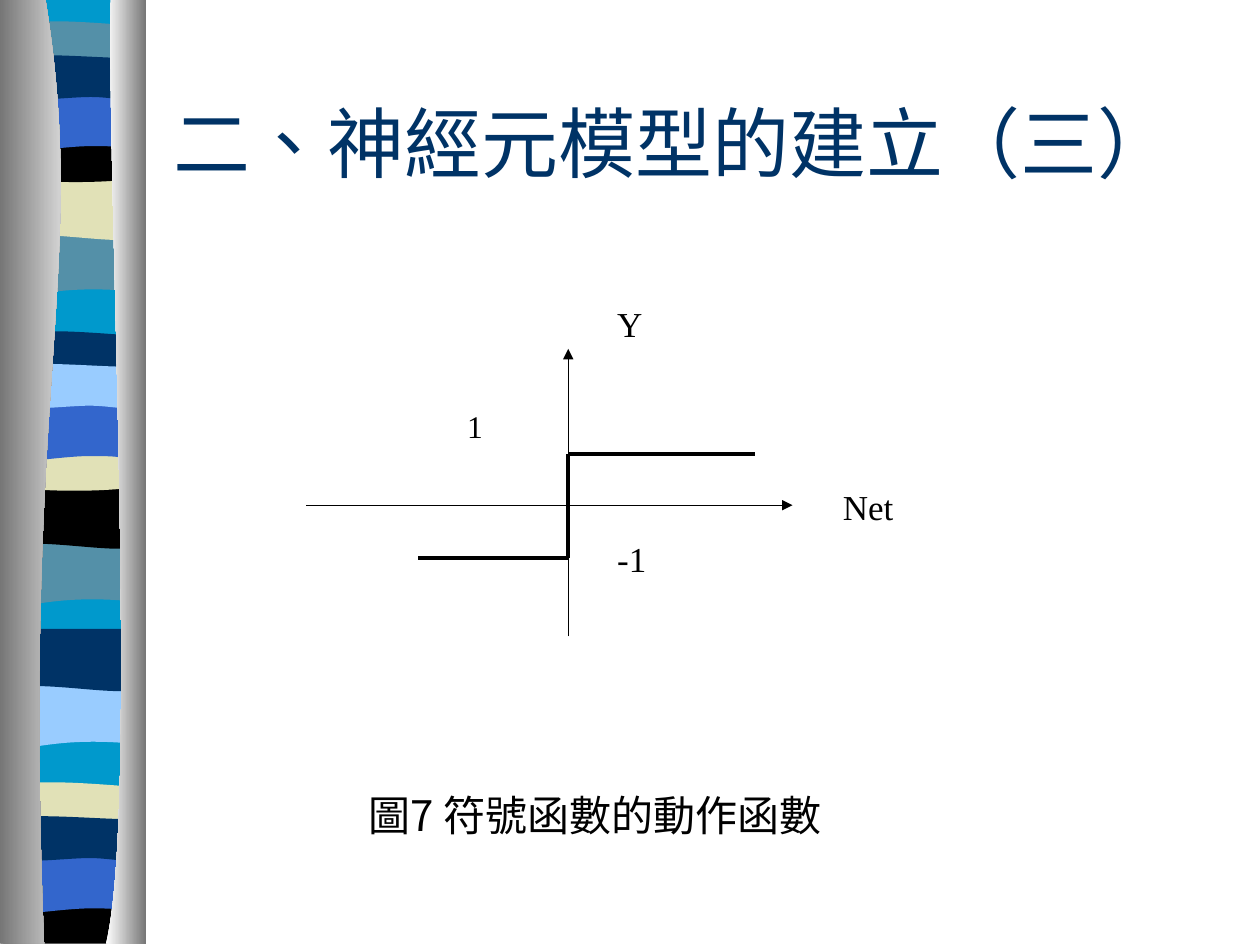
from pptx import Presentation
from pptx.dml.color import RGBColor as RGB
from pptx.enum.lang import MSO_LANGUAGE_ID as LANGUAGE
from pptx.enum.shapes import MSO_CONNECTOR as LINK, MSO_SHAPE as SHAPE
from pptx.enum.text import MSO_ANCHOR as ANCHOR, MSO_AUTO_SIZE as FIT, PP_ALIGN as ALIGN
from pptx.oxml.ns import qn
from pptx.util import Inches, Pt
from lxml.etree import SubElement

# Content
TITLE = "二、神經元模型的建立（三）"
CAPTION = "圖7 符號函數的動作函數 "
LABELS = [  # text, size name, left, top, width, height
    ("Net", "label", 6.59, 3.8, 1.19, 0.62),
    ("Y", "label", 4.8, 2.35, 1.19, 0.83),
    ("1", "small", 3.61, 3.18, 0.59, 0.62),
    ("-1", "label", 4.8, 4.22, 1.19, 0.62),
]
ORIGIN_X, ORIGIN_Y, HIGH, LOW = 4.51, 4.01, 3.6, 4.43
AXES = [  # start, end, line width
    ((2.43, ORIGIN_Y), (6.29, ORIGIN_Y), 0.75),
    ((ORIGIN_X, 5.05), (ORIGIN_X, 2.77), 0.5),
]
STEP = [  # start, end
    ((3.32, LOW), (ORIGIN_X, LOW)),
    ((ORIGIN_X, HIGH), (5.99, HIGH)),
    ((ORIGIN_X, HIGH), (ORIGIN_X, LOW)),
]

THEME = {
    "latin": "Times New Roman", "cjk": "Noto Sans CJK SC",
    "title": 44, "caption": 24, "label": 20, "small": 18, "step": 2.25,
    "cyan": "0099CC", "teal": "5490A8", "navy": "003366", "blue": "3366CC",
    "black": "000000", "cream": "E1E1B7", "sky": "99CCFF", "white": "FFFFFF",
    "shade": "767676",
}

# Band outlines from the top left: two numbers draw a line, six a Bezier curve
OUTLINES = {
    "base": [(1.08, 0), (1.08, 7.48), (0, 7.48), (0, 0)],
    "sway": [(1.08, 0), (1.08, 0.47), (0.33, 0.39, 0.18, 0.55, 0, 0.47), (0, 0)],
    "dip": [(1.08, 0), (1.08, 0.47), (0.9, 0.55, 0.33, 0.41, 0, 0.47), (0, 0)],
    "thin": [(1.08, 0.05), (1.08, 0.29), (0.9, 0.33, 0.18, 0.33, 0, 0.29), (0, 0.05),
             (0.06, 0, 0.23, 0.01, 0.41, 0.01), (0.59, 0.01, 0.94, 0.04, 1.08, 0.05)],
    "bowl": [(1.08, 0), (1.08, 0.32), (0.9, 0.38, 0.18, 0.38, 0, 0.32), (0, 0),
             (0.66, 0.05, 0.85, 0, 1.08, 0)],
    "foot": [(1.08, 0), (1.08, 0.37), (0, 0.37), (0, 0), (0.66, 0.05, 0.85, 0, 1.08, 0)],
    "arch": [(1.08, 0), (1.08, 0.47), (0.91, 0.42, 0.84, 0.42, 0.66, 0.42),
             (0.48, 0.42, 0.16, 0.47, 0, 0.47), (0, 0)],
    "flag": [(1.08, 0.05), (1.08, 0.36), (1.01, 0.41, 0.84, 0.36, 0.66, 0.36),
             (0.48, 0.36, 0.11, 0.41, 0, 0.36), (0, 0.05),
             (0.15, 0, 0.73, 0.05, 0.91, 0.05), (1.09, 0.05, 1.04, 0.05, 1.08, 0.05)],
}
BANDS = [  # outline, colour, left, top
    ("base", "cyan", 0.06, -0.01),
    ("sway", "teal", 0.06, 1.85), ("dip", "cream", 0.06, 1.41),
    ("thin", "teal", 0.06, 0.16), ("bowl", "black", 0.06, 1.08),
    ("arch", "blue", 0.06, 0.74), ("flag", "navy", 0.06, 0.41),
    ("sway", "teal", 0.05, 4.31), ("dip", "black", 0.05, 3.86),
    ("thin", "navy", 0.05, 2.62), ("bowl", "cream", 0.05, 3.53),
    ("arch", "blue", 0.05, 3.2), ("flag", "sky", 0.05, 2.86),
    ("sway", "sky", 0.06, 5.44), ("dip", "navy", 0.06, 4.99),
    ("thin", "cream", 0.05, 6.2), ("foot", "black", 0.05, 7.12),
    ("arch", "blue", 0.05, 6.79), ("flag", "navy", 0.05, 6.45),
]
DRAPES = [  # outline, gradient from left to right
    ([(0.36, -0.01), (0.71, 2.16, 0.17, 2.96, 0.35, 7.49), (0, 7.49), (0, -0.01)],
     ("shade", "white")),
    ([(0.88, -0.01), (0.84, 1.25, 1.11, 6.46, 0.84, 7.49), (1.16, 7.49), (1.16, 0)],
     ("white", "shade")),
]


def color(name):
    return RGB.from_string(THEME[name])


def add_outline(page, segments, left=0, top=0):
    """Draw a closed outline, turning each six-number segment into a curve."""
    spots = [(Inches(left + x), Inches(top + y))
             for part in segments for x, y in zip(part[::2], part[1::2])]
    builder = page.shapes.build_freeform(*spots[0])
    builder.add_line_segments(spots[1:], close=True)
    shape = builder.convert_to_shape()
    shape.shadow.inherit = False
    shape.line.fill.background()

    outline = next(shape._element.iter(qn("a:path")))
    lines = iter(outline.findall(qn("a:lnTo")))
    for part in segments[1:]:
        line = next(lines)
        if len(part) == 6:
            line.tag = qn("a:cubicBezTo")
            for _ in range(2):
                extra = next(lines)
                line.append(extra[0])
                outline.remove(extra)
    return shape


def add_line(page, start, end, width, arrow=False):
    line = page.shapes.add_connector(LINK.STRAIGHT, *map(Inches, start + end))
    line.line.color.rgb = color("black")
    line.line.width = Pt(width)
    if arrow:
        SubElement(line.line._get_or_add_ln(), qn("a:tailEnd"), type="triangle")
    SubElement(line._element.spPr, qn("a:effectLst"))


def write(box, text, size, ink="black", font="latin", align=ALIGN.LEFT, anchor=ANCHOR.TOP):
    frame = box.text_frame
    frame.word_wrap, frame.auto_size = True, FIT.NONE
    frame.vertical_anchor = anchor
    para = frame.paragraphs[0]
    para.alignment = align
    span = para.add_run()
    span.text = text
    span.font.size, span.font.name = Pt(THEME[size]), THEME[font]
    span.font.color.rgb = color(ink)
    span.font.language_id = LANGUAGE.TRADITIONAL_CHINESE
    SubElement(span.font._element, qn("a:ea"), typeface=THEME["cjk"])


def place(box, *area):
    box.left, box.top, box.width, box.height = map(Inches, area)


def main():
    deck = Presentation()
    deck.slide_width, deck.slide_height = Inches(10), Inches(7.5)
    page = deck.slides.add_slide(deck.slide_layouts[5])

    # Ribbon
    for outline, name, left, top in BANDS:
        shape = add_outline(page, OUTLINES[outline], left, top)
        shape.fill.solid()
        shape.fill.fore_color.rgb = color(name)

    # Drapes on both sides of the ribbon
    for outline, shades in DRAPES:
        shape = add_outline(page, outline)
        shape.fill.gradient()
        shape.fill.gradient_angle = 0
        for stop, shade in zip(shape.fill.gradient_stops, shades):
            stop.color.rgb = color(shade)

    # Title and caption
    place(page.shapes.title, 1.28, 0.5, 8.5, 1.25)
    write(page.shapes.title, TITLE, "title", ink="navy", anchor=ANCHOR.MIDDLE)
    caption = page.shapes.add_textbox(*map(Inches, (2.16, 6.22, 5.2, 0.5)))
    write(caption, CAPTION, "caption", font="cjk", align=ALIGN.CENTER, anchor=ANCHOR.MIDDLE)

    # Axes and step function
    for start, end, width in AXES:
        add_line(page, start, end, width, arrow=True)
    for start, end in STEP:
        add_line(page, start, end, THEME["step"])

    # Axis labels
    for text, size, *area in LABELS:
        box = page.shapes.add_shape(SHAPE.RECTANGLE, *map(Inches, area))
        box.shadow.inherit = False
        box.fill.solid()
        box.fill.fore_color.rgb = box.line.color.rgb = color("white")
        box.line.width = Pt(0.75)
        write(box, text, size)

    deck.save("out.pptx")


if __name__ == "__main__":
    main()
